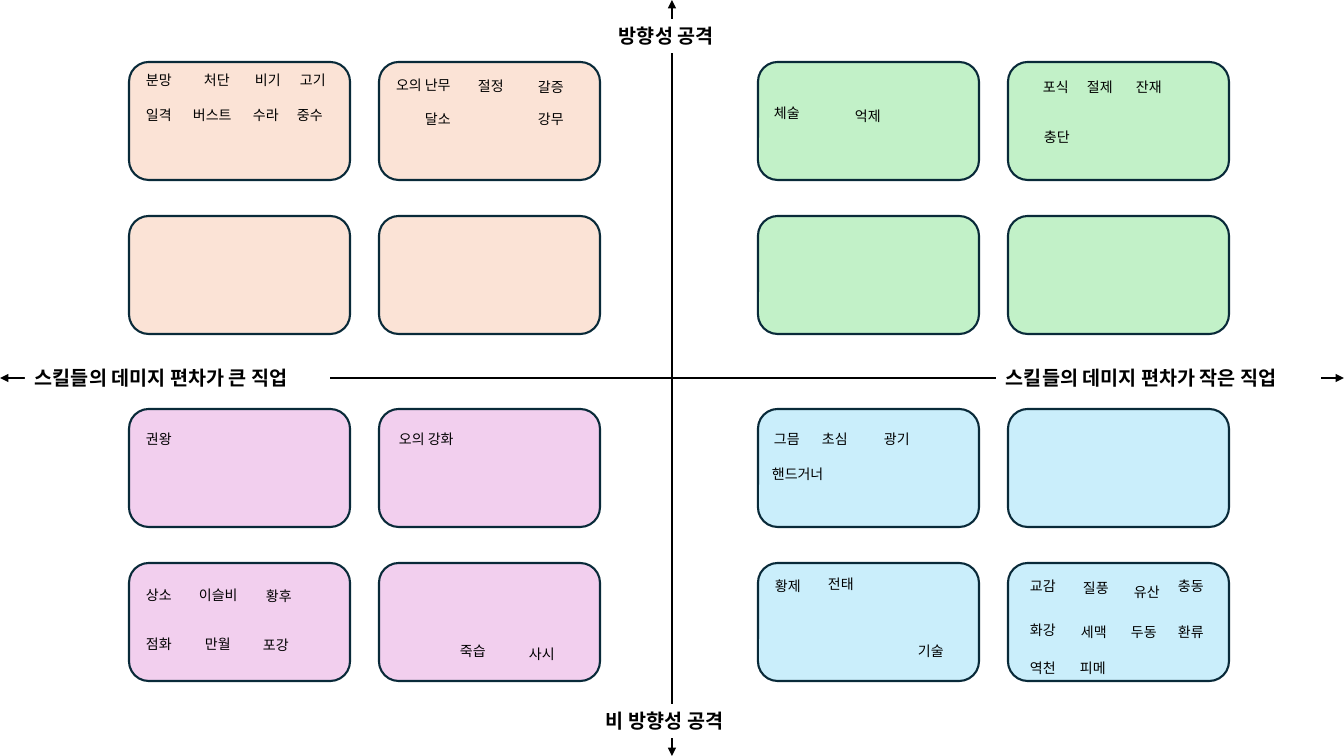
from dataclasses import dataclass

from lxml import etree
from pptx import Presentation
from pptx.dml.color import RGBColor
from pptx.enum.shapes import MSO_CONNECTOR, MSO_SHAPE
from pptx.enum.text import MSO_ANCHOR, MSO_AUTO_SIZE
from pptx.oxml.ns import qn
from pptx.util import Emu, Pt

ROUNDED = MSO_SHAPE.ROUNDED_RECTANGLE
STRAIGHT = MSO_CONNECTOR.STRAIGHT
MIDDLE = MSO_ANCHOR.MIDDLE
GROW = MSO_AUTO_SIZE.SHAPE_TO_FIT_TEXT

EMU_PER_PX = 914400 / 100.8
SLIDE_W, SLIDE_H = 1344, 756
CARD_W, CARD_H = 221, 118
CARD_STEP_X, CARD_STEP_Y = 250, 154
LABEL_H, GLYPH_W, SPACE_W = 17, 14, 5
AXIS_LABEL_H = 34


@dataclass(frozen=True)
class Theme:
    font: str = "Noto Sans CJK KR"
    ink: str = "000000"
    paper: str = "FFFFFF"
    card_line: str = "092A39"
    peach: str = "FBE3D6"
    green: str = "C2F1C8"
    pink: str = "F2CFEE"
    blue: str = "CAEEFB"
    axis_size: int = 14
    label_size: int = 10
    line_width: float = 1.5


THEME = Theme()

# Left and top of the first card of each quadrant, and the fill of its cards
QUADRANTS = [
    (129, 62, THEME.peach),
    (758, 62, THEME.green),
    (758, 409, THEME.blue),
    (129, 409, THEME.pink),
]

# Text, left, top, width
AXIS_LABELS = [
    ("스킬들의 데미지 편차가 작은 직업", 996, 361, 325),
    ("스킬들의 데미지 편차가 큰 직업", 25, 361, 305),
    ("방향성 공격", 609, 19, 126),
    ("비 방향성 공격", 596, 704, 153),
]

# Text, left, top
JOBS = [
    ("분망", 146, 71), ("처단", 204, 71), ("비기", 255, 71), ("고기", 300, 71),
    ("일격", 146, 106), ("버스트", 193, 106), ("수라", 253, 106), ("중수", 297, 106),
    ("오의 난무", 396, 76), ("절정", 478, 77), ("갈증", 538, 78),
    ("달소", 425, 110), ("강무", 538, 110),
    ("체술", 774, 104), ("억제", 855, 107),
    ("포식", 1043, 78), ("절제", 1087, 78), ("잔재", 1136, 78), ("충단", 1044, 128),
    ("권왕", 146, 430), ("오의 강화", 399, 430),
    ("상소", 146, 586), ("이슬비", 199, 586), ("황후", 266, 587),
    ("점화", 146, 635), ("만월", 205, 635), ("포강", 263, 636),
    ("죽습", 460, 642), ("사시", 529, 645),
    ("그믐", 774, 430), ("초심", 822, 430), ("광기", 884, 430), ("핸드거너", 772, 465),
    ("황제", 775, 577), ("전태", 828, 575), ("기술", 918, 642),
    ("교감", 1030, 577), ("질풍", 1083, 579), ("유산", 1134, 583), ("충동", 1178, 577),
    ("화강", 1030, 621), ("세맥", 1081, 623), ("두동", 1131, 623), ("환류", 1178, 623),
    ("역천", 1030, 659), ("피메", 1080, 659),
]


def px(value):
    return Emu(round(value * EMU_PER_PX))


def color(hex_code):
    return RGBColor.from_string(hex_code)


def add_card(s, left, top, fill):
    card = s.shapes.add_shape(ROUNDED, px(left), px(top), px(CARD_W), px(CARD_H))
    card.shadow.inherit = False
    card.fill.solid()
    card.fill.fore_color.rgb = color(fill)
    card.line.color.rgb = color(THEME.card_line)
    card.line.width = Pt(THEME.line_width)


def add_quadrant(s, left, top, fill):
    for row in range(2):
        for col in range(2):
            add_card(s, left + col * CARD_STEP_X, top + row * CARD_STEP_Y, fill)


def add_axis(s, x1, y1, x2, y2):
    """Draw a line with an arrowhead at both ends."""
    axis = s.shapes.add_connector(STRAIGHT, px(x1), px(y1), px(x2), px(y2))
    axis.line.color.rgb = color(THEME.ink)
    axis.line.width = Pt(THEME.line_width)
    ln = axis.line._get_or_add_ln()
    for end in ("a:headEnd", "a:tailEnd"):
        etree.SubElement(ln, qn(end), type="triangle")
    etree.SubElement(axis._element.spPr, qn("a:effectLst"))


def add_text(s, text, left, top, width, height, size, bold=False):
    box = s.shapes.add_textbox(px(left), px(top), px(width), px(height))
    tf = box.text_frame
    tf.word_wrap = False
    tf.auto_size = GROW
    r = tf.paragraphs[0].add_run()
    r.text = text
    r.font.name = THEME.font
    r.font.size = Pt(size)
    r.font.bold = bold
    r.font.color.rgb = color(THEME.ink)
    etree.SubElement(r._r.get_or_add_rPr(), qn("a:ea"), typeface=THEME.font)
    return box


def add_axis_label(s, text, left, top, width):
    """Name one end of an axis on a plate that interrupts the line."""
    box = add_text(s, text, left, top, width, AXIS_LABEL_H, THEME.axis_size, bold=True)
    box.fill.solid()
    box.fill.fore_color.rgb = color(THEME.paper)


def add_job(s, text, left, top):
    width = sum(SPACE_W if char == " " else GLYPH_W for char in text)
    tf = add_text(s, text, left, top, width, LABEL_H, THEME.label_size).text_frame
    tf.margin_left = tf.margin_top = tf.margin_right = tf.margin_bottom = 0
    tf.vertical_anchor = MIDDLE


def main():
    prs = Presentation()
    prs.slide_width, prs.slide_height = px(SLIDE_W), px(SLIDE_H)
    s = prs.slides.add_slide(prs.slide_layouts[6])
    for quadrant in QUADRANTS:
        add_quadrant(s, *quadrant)
    add_axis(s, 0, SLIDE_H / 2, SLIDE_W, SLIDE_H / 2)
    add_axis(s, SLIDE_W / 2, 0, SLIDE_W / 2, SLIDE_H)
    for label in AXIS_LABELS:
        add_axis_label(s, *label)
    for job in JOBS:
        add_job(s, *job)
    prs.save("out.pptx")


if __name__ == "__main__":
    main()
